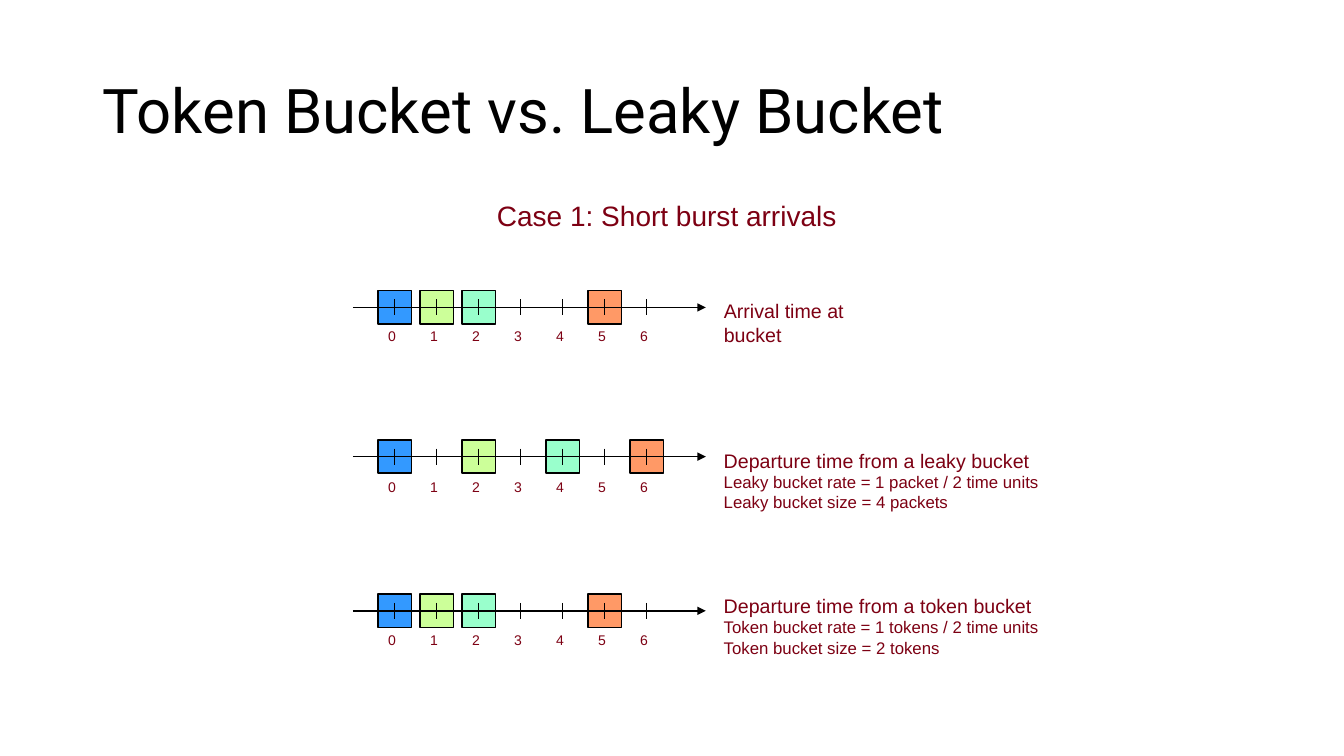
"""Build the slide comparing token bucket and leaky bucket for a short burst."""
from dataclasses import dataclass

import lxml.etree
import pptx
import pptx.dml.color
import pptx.enum.shapes
import pptx.enum.text
import pptx.oxml.ns
import pptx.shapes.connector
import pptx.slide
import pptx.util

Inches = pptx.util.Inches
RGBColor = pptx.dml.color.RGBColor

BLACK = RGBColor(0x00, 0x00, 0x00)
MAROON = RGBColor(0x7D, 0x00, 0x13)
PACKET_COLORS = (
    RGBColor(0x33, 0x99, 0xFF),
    RGBColor(0xCC, 0xFF, 0x99),
    RGBColor(0x99, 0xFF, 0xCC),
    RGBColor(0xFF, 0x99, 0x66),
)
AXIS_LEFT, AXIS_RIGHT = 3.5, 7
SLOT_LEFT = 3.75
SLOT_STEP = 5 / 12
SLOT_COUNT = 7
PACKET_SIZE = 0.33
TICK_HALF = 0.08
NOTE_LEFT = 7.08


@dataclass(frozen=True)
class Timeline:
    axis_top: float
    label_top: float
    note_top: float
    note_width: float
    note_height: float
    packet_times: tuple[int, ...]
    heading: str
    details: tuple[str, ...] = ()
    wrap: bool = False


TIMELINES = (
    Timeline(3.05, 3.2, 2.92, 2.01, 0.33, (0, 1, 2, 5), "Arrival time at bucket", wrap=True),
    Timeline(4.53, 4.7, 4.4, 3.36, 0.74, (0, 2, 4, 6), "Departure time from a leaky bucket",
             ("Leaky bucket rate = 1 packet / 2 time units", "Leaky bucket size = 4 packets")),
    Timeline(6.06, 6.22, 5.84, 3.36, 0.74, (0, 1, 2, 5), "Departure time from a token bucket",
             ("Token bucket rate = 1 tokens / 2 time units", "Token bucket size = 2 tokens")),
)


def add_text(page: pptx.slide.Slide, left: float, top: float, width: float, height: float,
             lines: list[tuple[str, int]], wrap: bool = False) -> None:
    box = page.shapes.add_textbox(Inches(left), Inches(top), Inches(width), Inches(height))
    frame = box.text_frame
    frame.word_wrap = wrap
    frame.auto_size = pptx.enum.text.MSO_AUTO_SIZE.SHAPE_TO_FIT_TEXT
    for index, (text, size) in enumerate(lines):
        para = frame.add_paragraph() if index else frame.paragraphs[0]
        span = para.add_run()
        span.text = text
        span.font.name = "Arial"
        span.font.size = pptx.util.Pt(size)
        span.font.color.rgb = MAROON


def add_line(page: pptx.slide.Slide, left: float, top: float, right: float,
             bottom: float) -> pptx.shapes.connector.Connector:
    line = page.shapes.add_connector(pptx.enum.shapes.MSO_CONNECTOR.STRAIGHT,
                                     Inches(left), Inches(top), Inches(right), Inches(bottom))
    line.line.color.rgb = BLACK
    line.line.width = pptx.util.Pt(1)
    properties = line._element.spPr
    lxml.etree.SubElement(properties, pptx.oxml.ns.qn("a:effectLst"))
    return line


def add_packet(page: pptx.slide.Slide, time: int, axis_top: float, color: RGBColor) -> None:
    packet = page.shapes.add_shape(
        pptx.enum.shapes.MSO_SHAPE.RECTANGLE,
        Inches(SLOT_LEFT + time * SLOT_STEP), Inches(axis_top - PACKET_SIZE / 2),
        Inches(PACKET_SIZE), Inches(PACKET_SIZE))
    packet.shadow.inherit = False
    packet.fill.solid()
    packet.fill.fore_color.rgb = color
    packet.line.color.rgb = BLACK
    packet.line.width = pptx.util.Pt(1)


def add_timeline(page: pptx.slide.Slide, timeline: Timeline) -> None:
    axis_top = timeline.axis_top
    for time, color in zip(timeline.packet_times, PACKET_COLORS):
        add_packet(page, time, axis_top, color)
    axis = add_line(page, AXIS_LEFT, axis_top, AXIS_RIGHT, axis_top)
    lxml.etree.SubElement(axis.line._get_or_add_ln(), pptx.oxml.ns.qn("a:tailEnd"), type="triangle")
    for time in range(SLOT_COUNT):
        slot_left = SLOT_LEFT + time * SLOT_STEP
        center = slot_left + PACKET_SIZE / 2
        add_line(page, center, axis_top - TICK_HALF, center, axis_top + TICK_HALF)
        add_text(page, slot_left, timeline.label_top, 0.28, 0.27, [(str(time), 10)])
    lines = [(timeline.heading, 14)] + [(detail, 12) for detail in timeline.details]
    add_text(page, NOTE_LEFT, timeline.note_top, timeline.note_width, timeline.note_height,
             lines, timeline.wrap)


def add_title(page: pptx.slide.Slide, text: str) -> None:
    title = page.shapes.title
    title.left, title.top = Inches(0.92), Inches(0.4)
    title.width, title.height = Inches(11.5), Inches(1.45)
    frame = title.text_frame
    frame.word_wrap = True
    frame.auto_size = pptx.enum.text.MSO_AUTO_SIZE.NONE
    frame.vertical_anchor = pptx.enum.text.MSO_ANCHOR.MIDDLE
    para = frame.paragraphs[0]
    para.alignment = pptx.enum.text.PP_ALIGN.LEFT
    para.line_spacing = 0.9
    span = para.add_run()
    span.text = text
    span.font.name = "Roboto"
    span.font.size = pptx.util.Pt(44)
    span.font.color.rgb = BLACK


def main() -> None:
    deck = pptx.Presentation()
    deck.slide_width, deck.slide_height = Inches(13.33), Inches(7.5)
    page = deck.slides.add_slide(deck.slide_layouts.get_by_name("Title Only"))
    add_title(page, "Token Bucket vs. Leaky Bucket")
    add_text(page, 4.83, 1.92, 3.6, 0.44, [("Case 1: Short burst arrivals", 20)])
    for timeline in TIMELINES:
        add_timeline(page, timeline)
    deck.save("out.pptx")


if __name__ == "__main__":
    main()
